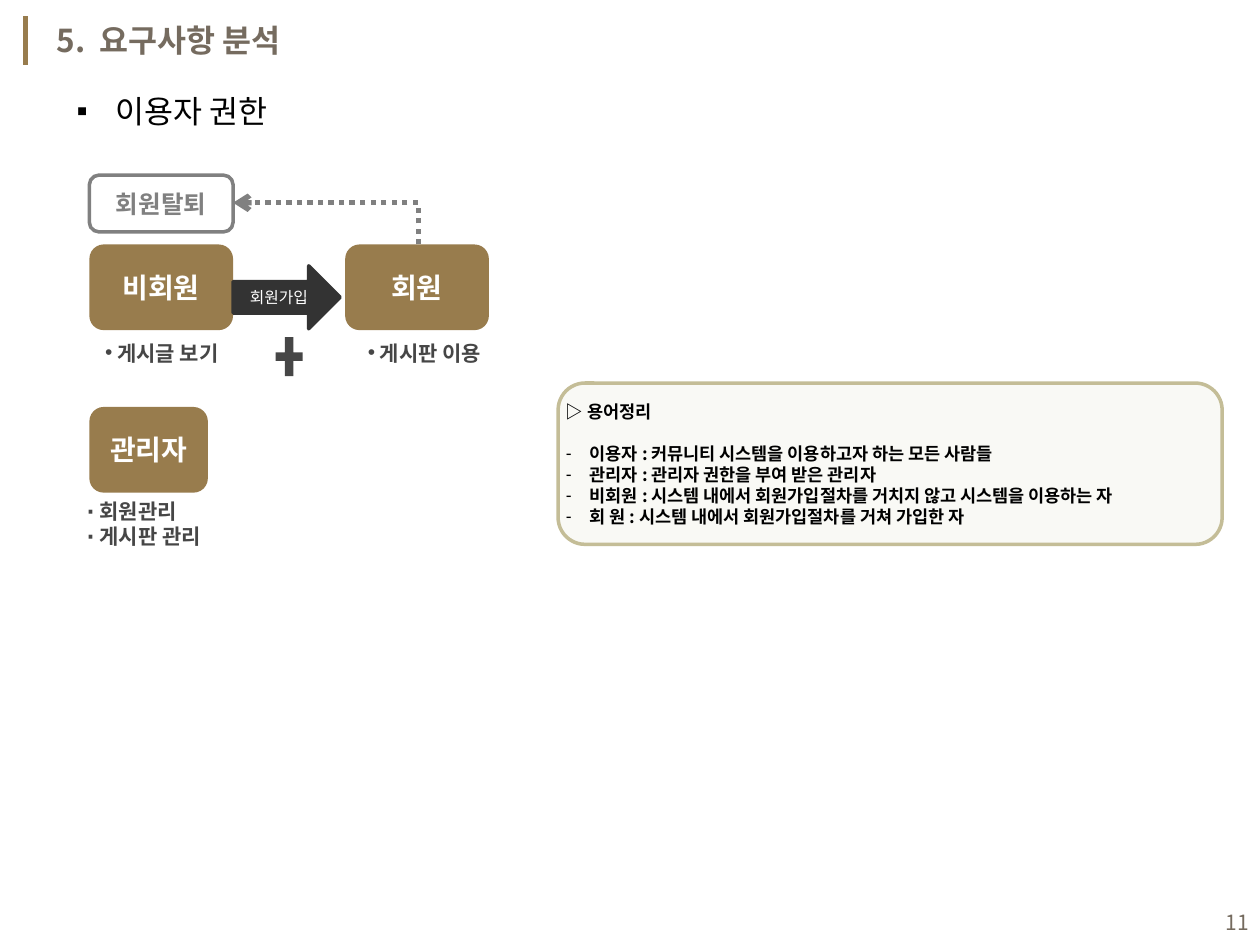
from lxml import etree
from pptx import Presentation
from pptx.dml.color import RGBColor
from pptx.enum import dml, shapes, text
from pptx.oxml.ns import qn
from pptx.util import Inches, Pt

FONT = "Noto Sans CJK KR"
BROWN, TAUPE, GRAY, DARK = "987C4D", "756B5F", "808080", "464646"
LEFT, CENTER, RIGHT = text.PP_ALIGN.LEFT, text.PP_ALIGN.CENTER, text.PP_ALIGN.RIGHT
ROUNDED = shapes.MSO_SHAPE.ROUNDED_RECTANGLE


def color(value):
    return RGBColor.from_string(value)


def box(values):
    return [Inches(value) for value in values]


def add_bullet(paragraph, bullet, margin, indent):
    properties = paragraph._p.get_or_add_pPr()
    properties.set("marL", str(Inches(margin)))
    properties.set("indent", str(Inches(indent)))
    etree.SubElement(properties, qn("a:buFont"), typeface="Arial")
    etree.SubElement(properties, qn("a:buChar"), char=bullet)


def write(paragraph, content, size=12, fill="000000", bold=False, font=FONT,
          align=LEFT, bullet=None, margin=0.31, indent=0, before=0):
    paragraph.alignment = align
    if before:
        paragraph.space_before = Pt(before)
    if bullet:
        add_bullet(paragraph, bullet, margin, indent)
    run = paragraph.add_run()
    run.text = content
    run.font.size = Pt(size)
    run.font.bold = bold
    run.font.name = font
    run.font.color.rgb = color(fill)
    etree.SubElement(run.font._element, qn("a:ea"), typeface=FONT)


def add_text(slide, position, lines, wrap=True, grow=True, **style):
    frame = slide.shapes.add_textbox(*box(position)).text_frame
    frame.word_wrap = wrap
    if grow:
        frame.auto_size = text.MSO_AUTO_SIZE.SHAPE_TO_FIT_TEXT
    else:
        frame.vertical_anchor = text.MSO_ANCHOR.MIDDLE
    for index, line in enumerate(lines):
        paragraph = frame.add_paragraph() if index else frame.paragraphs[0]
        write(paragraph, line, **style)


def add_shape(slide, kind, position, fill=None, line=None, alpha=None):
    shape = slide.shapes.add_shape(kind, *box(position))
    shape.shadow.inherit = False
    if fill:
        shape.fill.solid()
        shape.fill.fore_color.rgb = color(fill)
    else:
        shape.fill.background()
    if alpha:
        fill_color = shape.fill._xPr.find(qn("a:solidFill"))[0]
        etree.SubElement(fill_color, qn("a:alpha"), val=str(alpha * 1000))
    if line:
        shape.line.color.rgb = color(line)
        shape.line.width = Pt(2)
    else:
        shape.line.fill.background()
    shape.text_frame.vertical_anchor = text.MSO_ANCHOR.MIDDLE
    return shape


def add_label(shape, content, **style):
    write(shape.text_frame.paragraphs[0], content, align=CENTER, **style)


def add_role(slide, position, name):
    shape = add_shape(slide, ROUNDED, position, fill=BROWN)
    add_label(shape, name, size=16, fill="FFFFFF", bold=True)
    return shape


def add_line(slide, kind, ends, fill):
    line = slide.shapes.add_connector(kind, *box(ends))
    line.line.color.rgb = color(fill)
    line.line.width = Pt(3)
    etree.SubElement(line._element.spPr, qn("a:effectLst"))
    return line


def add_withdrawal_path(slide, member, withdrawal):
    path = add_line(slide, shapes.MSO_CONNECTOR.ELBOW, (3.32, 1.94, 1.85, 1.61), GRAY)
    path.begin_connect(member, 0)
    path.end_connect(withdrawal, 3)
    path.line.dash_style = dml.MSO_LINE.ROUND_DOT
    etree.SubElement(path.line._ln, qn("a:tailEnd"), type="arrow")
    properties = path._element.spPr
    properties.find(qn("a:prstGeom")).set("prst", "bentConnector2")
    transform = properties.find(qn("a:xfrm"))
    transform.attrib.clear()
    transform.set("rot", str(270 * 60000))
    transform.set("flipV", "1")
    path.left, path.top, path.width, path.height = box((2.42, 1.04, 0.33, 1.47))


def add_glossary(slide):
    shape = add_shape(slide, ROUNDED, (4.43, 3.04, 5.27, 1.28),
                      fill="EEECE1", line="C4BD97", alpha=30)
    frame = shape.text_frame
    frame.margin_left = frame.margin_right = frame.margin_top = frame.margin_bottom = 0
    write(frame.paragraphs[0], "▷ 용어정리", size=10, bold=True)
    terms = [
        "이용자 : 커뮤니티 시스템을 이용하고자 하는 모든 사람들",
        "관리자 : 관리자 권한을 부여 받은 관리자",
        "비회원 : 시스템 내에서 회원가입절차를 거치지 않고 시스템을 이용하는 자",
        "회 원 : 시스템 내에서 회원가입절차를 거쳐 가입한 자",
    ]
    for index, term in enumerate(terms):
        write(frame.add_paragraph(), term, size=10, bold=True, bullet="-",
              margin=0.19, indent=-0.19, before=0 if index else 12)


def main():
    presentation = Presentation()
    presentation.slide_width, presentation.slide_height = Inches(10), Inches(7.5)
    slide = presentation.slides.add_slide(presentation.slide_layouts[6])

    add_line(slide, shapes.MSO_CONNECTOR.STRAIGHT, (0.2, 0.13, 0.2, 0.52), BROWN)
    add_text(slide, (0.35, 0.12, 2.44, 0.4), ["5.  요구사항 분석"],
             size=18, fill=TAUPE, bold=True)
    add_text(slide, (0.51, 0.68, 1.74, 0.4), ["이용자 권한"], wrap=False,
             size=18, bullet="▪", indent=-0.31)

    add_role(slide, (0.71, 1.94, 1.14, 0.68), "비회원")
    member = add_role(slide, (2.74, 1.94, 1.14, 0.68), "회원")
    add_role(slide, (0.71, 3.23, 0.94, 0.68), "관리자")

    arrow = add_shape(slide, shapes.MSO_SHAPE.RIGHT_ARROW, (1.85, 2.11, 0.85, 0.5),
                      fill="333333", line="333333")
    arrow.text_frame.word_wrap = False
    add_label(arrow, "회원가입", size=9, fill="FFFFFF")
    add_shape(slide, shapes.MSO_SHAPE.MATH_PLUS, (2.15, 2.62, 0.29, 0.42), fill=DARK)

    rights = {"fill": DARK, "bold": True, "font": "Arial"}
    add_text(slide, (0.35, 2.65, 1.56, 0.3), [" 게시글 보기"],
             align=CENTER, bullet="•", **rights)
    add_text(slide, (2.32, 2.65, 1.79, 0.3), [" 게시판 이용"],
             align=CENTER, bullet="•", **rights)
    add_text(slide, (0.59, 3.91, 1.56, 0.5), ["∙ 회원관리", "∙ 게시판 관리"], **rights)

    withdrawal = add_shape(slide, ROUNDED, (0.71, 1.39, 1.14, 0.45), line=GRAY)
    add_label(withdrawal, "회원탈퇴", size=14, fill=GRAY, bold=True)
    add_withdrawal_path(slide, member, withdrawal)

    add_glossary(slide)
    add_text(slide, (7.68, 7.12, 2.33, 0.4), ["11"], grow=False,
             fill=TAUPE, align=RIGHT)
    presentation.save("out.pptx")


if __name__ == "__main__":
    main()
